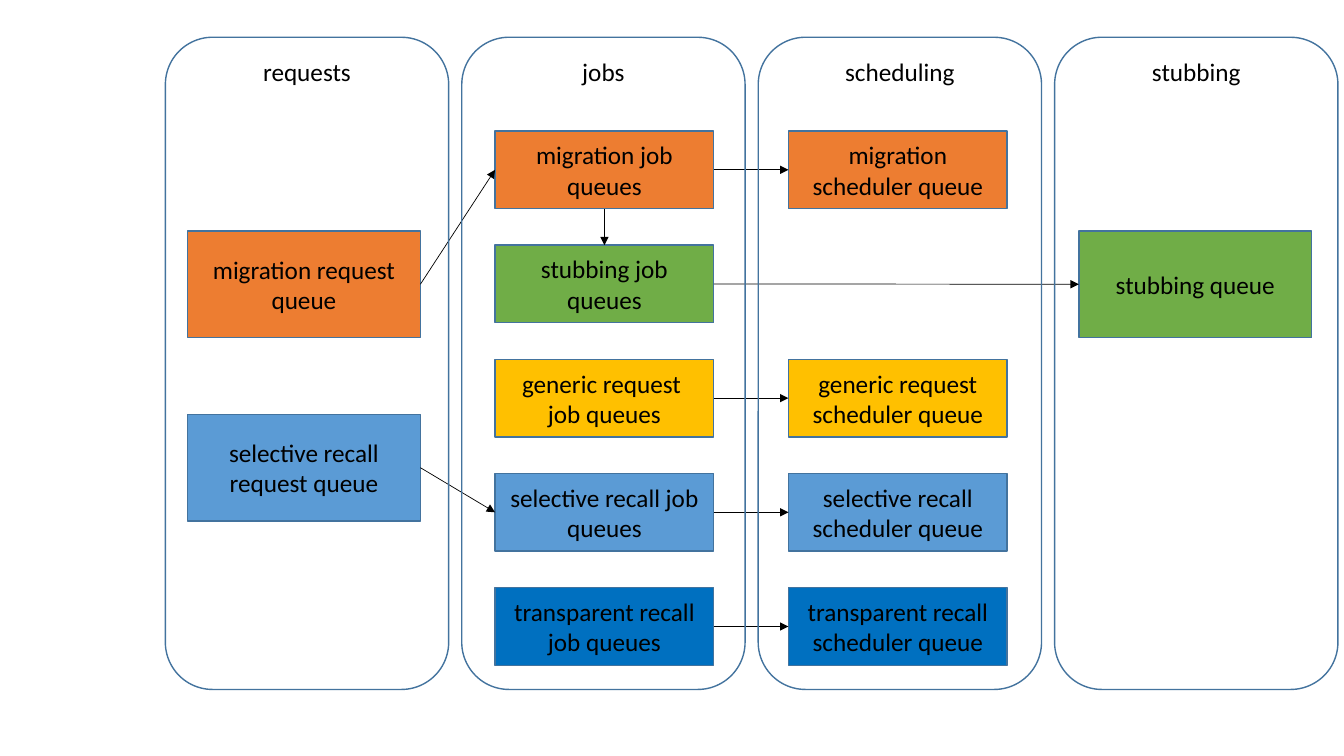
from dataclasses import dataclass

from lxml.etree import SubElement
from pptx import Presentation
from pptx.dml.color import RGBColor
from pptx.enum.shapes import MSO_CONNECTOR as Connector, MSO_SHAPE as Preset
from pptx.enum.text import MSO_ANCHOR as Anchor, PP_ALIGN as Align
from pptx.oxml.ns import qn
from pptx.shapes.autoshape import Shape
from pptx.slide import Slide
from pptx.util import Inches, Pt


@dataclass(frozen=True)
class Theme:
    font: str = "Calibri"
    text_size: float = 18
    outline_width: float = 1
    arrow_width: float = 0.5
    ink: str = "000000"
    outline: str = "43739E"
    migration: str = "ED7D31"
    stubbing: str = "70AD47"
    generic: str = "FFC000"
    selective: str = "5B9BD5"
    transparent: str = "0070C0"


@dataclass(frozen=True)
class Size:
    width: float
    height: float


@dataclass(frozen=True)
class Queue:
    key: str
    label: str
    left: float
    top: float
    size: Size
    color: str


@dataclass(frozen=True)
class Flow:
    source: str
    target: str
    leave: int
    enter: int


THEME = Theme()
LANE = Size(2.81, 6.47)
SMALL = Size(2.17, 0.77)
LARGE = Size(2.31, 1.06)
LANE_LEFT, LANE_TOP, LANE_STEP = 1.64, 0.37, 2.94
ROW_TOP, ROW_STEP = 1.3, 4.53 / 4
REQUEST_LEFT, JOB_LEFT, SCHEDULER_LEFT, STUBBING_LEFT = 1.86, 4.91, 7.82, 10.7
UPPER_TOP, LOWER_TOP = 2.29, 4.11
LEFT_SIDE, BOTTOM_SIDE, RIGHT_SIDE, TOP_SIDE = 1, 2, 3, 0

LANES = ["requests", "jobs", "scheduling", "stubbing"]
JOBS = [
    ("migration", "migration job queues", THEME.migration),
    ("stubbing", "stubbing job queues", THEME.stubbing),
    ("generic", "generic request \vjob queues", THEME.generic),
    ("selective", "selective recall job queues", THEME.selective),
    ("transparent", "transparent recall job queues", THEME.transparent),
]
SCHEDULERS = {
    "migration": "migration scheduler queue",
    "generic": "generic request scheduler queue",
    "selective": "selective recall scheduler queue",
    "transparent": "transparent recall scheduler queue",
}


def list_queues() -> list[Queue]:
    queues = [
        Queue("migration request", "migration request queue",
              REQUEST_LEFT, UPPER_TOP, LARGE, THEME.migration),
        Queue("selective request", "selective recall request queue",
              REQUEST_LEFT, LOWER_TOP, LARGE, THEME.selective),
        Queue("stubbing queue", "stubbing queue",
              STUBBING_LEFT, UPPER_TOP, LARGE, THEME.stubbing),
    ]
    for row, (kind, label, color) in enumerate(JOBS):
        top = ROW_TOP + row * ROW_STEP
        queues.append(Queue(f"{kind} job", label, JOB_LEFT, top, SMALL, color))
        if kind in SCHEDULERS:
            queues.append(Queue(f"{kind} scheduler", SCHEDULERS[kind],
                                SCHEDULER_LEFT, top, SMALL, color))
    return queues


def list_flows() -> list[Flow]:
    return [
        Flow("migration request", "migration job", RIGHT_SIDE, LEFT_SIDE),
        Flow("selective request", "selective job", RIGHT_SIDE, LEFT_SIDE),
        Flow("migration job", "stubbing job", BOTTOM_SIDE, TOP_SIDE),
        Flow("stubbing job", "stubbing queue", RIGHT_SIDE, LEFT_SIDE),
        *(Flow(f"{kind} job", f"{kind} scheduler", RIGHT_SIDE, LEFT_SIDE)
          for kind in SCHEDULERS),
    ]


def write_text(box: Shape, text: str, *, anchor: Anchor, size: float = THEME.text_size,
               color: str = THEME.ink, align: Align = Align.CENTER) -> None:
    frame = box.text_frame
    frame.word_wrap = True
    frame.vertical_anchor = anchor
    para = frame.paragraphs[0]
    para.text = text
    para.alignment = align
    for span in para.runs:
        span.font.name = THEME.font
        span.font.size = Pt(size)
        span.font.color.rgb = RGBColor.from_string(color)


def draw_box(page: Slide, preset: Preset, left: float, top: float, size: Size,
             fill: str | None = None) -> Shape:
    box = page.shapes.add_shape(preset, Inches(left), Inches(top),
                                Inches(size.width), Inches(size.height))
    box.shadow.inherit = False
    if fill:
        box.fill.solid()
        box.fill.fore_color.rgb = RGBColor.from_string(fill)
    else:
        box.fill.background()
    box.line.color.rgb = RGBColor.from_string(THEME.outline)
    box.line.width = Pt(THEME.outline_width)
    return box


def draw_queue(page: Slide, queue: Queue) -> Shape:
    box = draw_box(page, Preset.RECTANGLE, queue.left, queue.top, queue.size, queue.color)
    write_text(box, queue.label, anchor=Anchor.MIDDLE)
    return box


def draw_flow(page: Slide, flow: Flow, boxes: dict[str, Shape]) -> None:
    origin = Inches(0)
    arrow = page.shapes.add_connector(Connector.STRAIGHT, origin, origin, origin, origin)
    arrow.begin_connect(boxes[flow.source], flow.leave)
    arrow.end_connect(boxes[flow.target], flow.enter)
    arrow.line.color.rgb = RGBColor.from_string(THEME.ink)
    arrow.line.width = Pt(THEME.arrow_width)
    SubElement(arrow.line._get_or_add_ln(), qn("a:tailEnd"), type="triangle")
    SubElement(arrow._element.spPr, qn("a:effectLst"))


def draw_lane(page: Slide, column: int, name: str) -> None:
    left = LANE_LEFT + column * LANE_STEP
    box = draw_box(page, Preset.ROUNDED_RECTANGLE, left, LANE_TOP, LANE)
    write_text(box, name, anchor=Anchor.TOP)


def main() -> None:
    deck = Presentation()
    deck.slide_width = Inches(13.33)
    deck.slide_height = Inches(7.5)
    page = deck.slides.add_slide(deck.slide_layouts.get_by_name("Blank"))
    boxes = {queue.key: draw_queue(page, queue) for queue in list_queues()}
    for flow in list_flows():
        draw_flow(page, flow, boxes)
    for column, name in enumerate(LANES):
        draw_lane(page, column, name)
    deck.save("out.pptx")


main()
